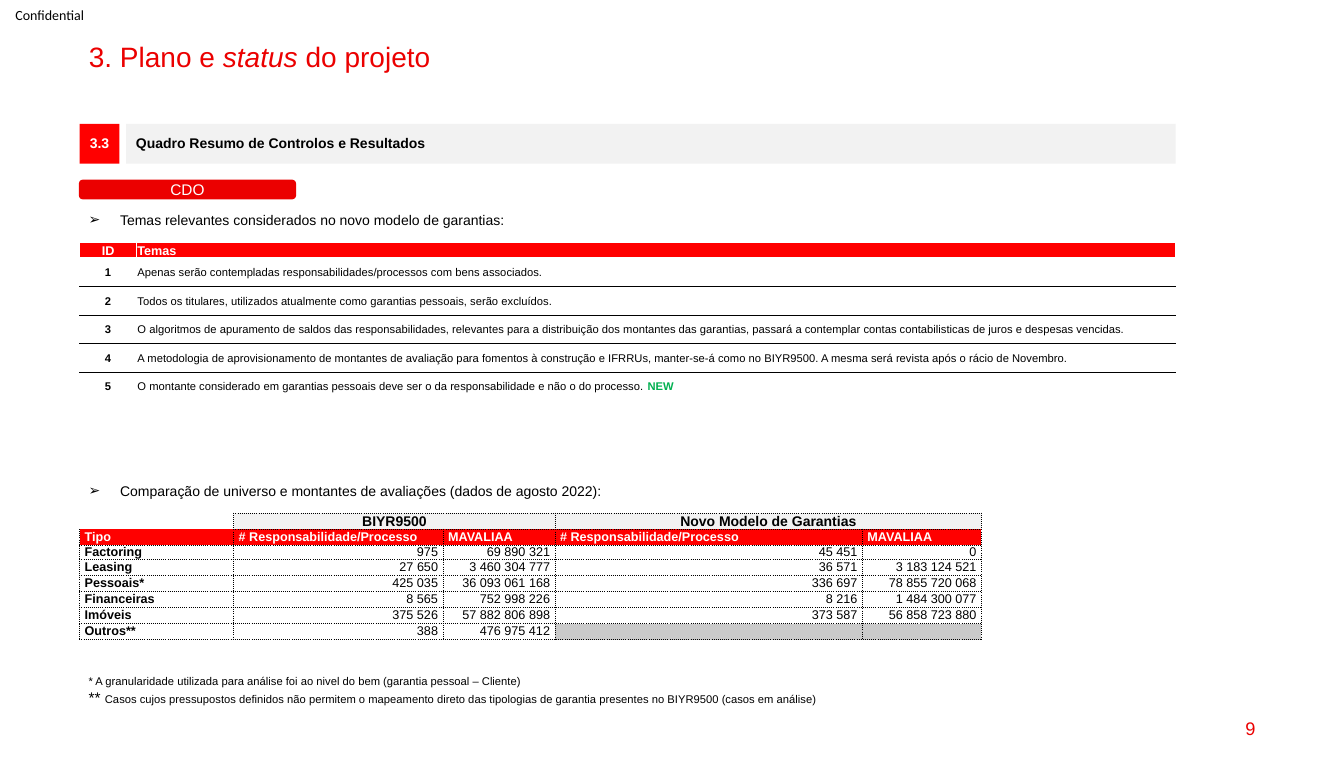
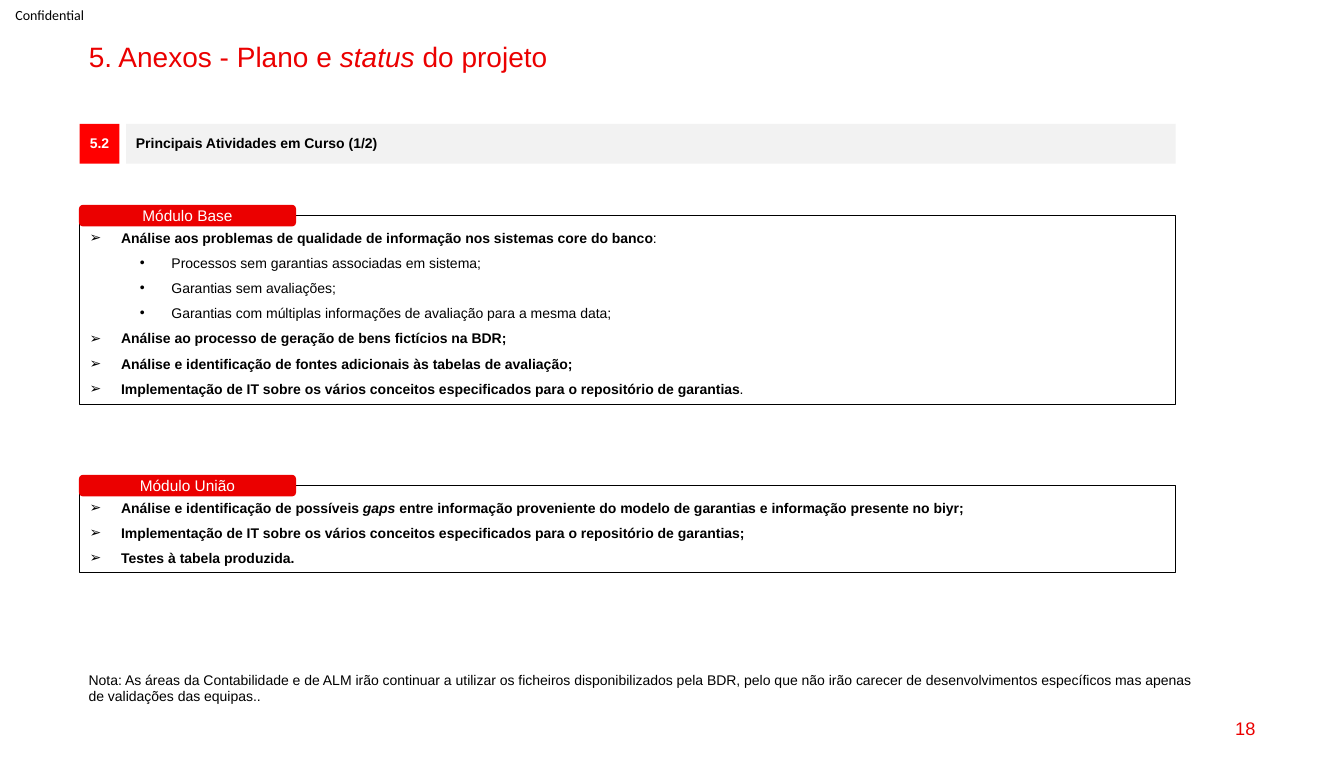
from lxml import etree
from pptx import Presentation
from pptx.dml.color import RGBColor
from pptx.enum.shapes import MSO_SHAPE
from pptx.enum.text import MSO_ANCHOR, MSO_AUTO_SIZE, PP_ALIGN
from pptx.oxml.ns import qn
from pptx.util import Pt

LEFT, CENTER, RIGHT = PP_ALIGN.LEFT, PP_ALIGN.CENTER, PP_ALIGN.RIGHT
TOP, MIDDLE, BOTTOM = MSO_ANCHOR.TOP, MSO_ANCHOR.MIDDLE, MSO_ANCHOR.BOTTOM
RECTANGLE, ROUNDED = MSO_SHAPE.RECTANGLE, MSO_SHAPE.ROUNDED_RECTANGLE
TITLE, TEXT = "title", "text"
BLACK, WHITE, RED, BRIGHT_RED = "000000", "FFFFFF", "EB0000", "FF0000"
LIGHT_GREY, GREY, GREEN = "F2F2F2", "CACACA", "00B050"
MARGIN, CONTENT_WIDTH, TEXT_LEFT = 56.9, 782.6, 56.2
PILL_WIDTH = 154
BULLETS = ["➢", "•"]
ITALIC = {"italic": True}
REGULAR = {"bold": False}

rgb = RGBColor.from_string


def write(frame, paragraphs, size=10, color=BLACK, bold=False, font="Arial",
          align=LEFT, spacing=None, levels=None):
    for index, runs in enumerate(paragraphs):
        paragraph = frame.paragraphs[0] if index == 0 else frame.add_paragraph()
        paragraph.alignment = align
        if spacing:
            paragraph.line_spacing = spacing
        if levels:
            level = levels[index]
            paragraph.level = level
            properties = paragraph._p.get_or_add_pPr()
            properties.set("marL", str(Pt(22.5 + 36 * level)))
            properties.set("indent", str(Pt(-22.5)))
            etree.SubElement(properties, qn("a:buFont")).set("typeface", "Arial")
            etree.SubElement(properties, qn("a:buChar")).set("char", BULLETS[level])
        for item in [runs] if isinstance(runs, str) else runs:
            text, changes = (item, {}) if isinstance(item, str) else item
            run = paragraph.add_run()
            run.text = text
            run.font.name = font
            run.font.size = Pt(changes.get("size", size))
            run.font.bold = changes.get("bold", bold)
            run.font.italic = changes.get("italic", False)
            run.font.color.rgb = rgb(changes.get("color", color))


def style_cell(cell, edges, fill, inset, anchor=MIDDLE):
    cell.margin_left, cell.margin_top, cell.margin_right, cell.margin_bottom = map(Pt, inset)
    cell.vertical_anchor = anchor
    properties = cell._tc.get_or_add_tcPr()
    for side, edge in zip("LRTB", edges):
        line = etree.SubElement(properties, qn("a:ln" + side))
        if edge is None:
            etree.SubElement(line, qn("a:noFill"))
            continue
        color, width, dash = edge
        line.set("w", str(Pt(width)))
        solid = etree.SubElement(line, qn("a:solidFill"))
        etree.SubElement(solid, qn("a:srgbClr")).set("val", color)
        etree.SubElement(line, qn("a:prstDash")).set("val", dash)
    if fill:
        cell.fill.solid()
        cell.fill.fore_color.rgb = rgb(fill)
    else:
        cell.fill.background()


themes = [
    ["Apenas serão contempladas responsabilidades/processos com bens associados."],
    ["Todos os titulares, utilizados atualmente como garantias pessoais, serão excluídos."],
    ["O algoritmos de apuramento de saldos das responsabilidades, relevantes para a distribuição dos "
     "montantes das garantias, passará a contemplar contas contabilisticas de juros e despesas vencidas."],
    ["A metodologia de aprovisionamento de montantes de avaliação para fomentos à construção e IFRRUs, "
     "manter-se-á como no BIYR9500. A mesma será revista após o rácio de Novembro."],
    ["O montante considerado em garantias pessoais deve ser o da responsabilidade e não o do processo. ",
     ("NEW", {"color": GREEN, "bold": True})],
]

comparison = [
    ["", "BIYR9500", "", "Novo Modelo de Garantias", ""],
    ["Tipo", "# Responsabilidade/Processo", "MAVALIAA", "# Responsabilidade/Processo", "MAVALIAA"],
    ["Factoring", "975", "69 890 321", "45 451", "0"],
    ["Leasing", "27 650", "3 460 304 777", "36 571", "3 183 124 521"],
    ["Pessoais*", "425 035", "36 093 061 168", "336 697", "78 855 720 068"],
    ["Financeiras", "8 565", "752 998 226", "8 216", "1 484 300 077"],
    ["Imóveis", "375 526", "57 882 806 898", "373 587", "56 858 723 880"],
    ["Outros**", "388", "476 975 412", "", ""],
]

base_activities = [
    ["Análise aos problemas de qualidade de informação nos sistemas core do banco", (":", REGULAR)],
    [("Processos sem garantias associadas em sistema;", REGULAR)],
    [("Garantias sem avaliações;", REGULAR)],
    [("Garantias com múltiplas informações de avaliação para a mesma data;", REGULAR)],
    "Análise ao processo de geração de bens fictícios na BDR;",
    "Análise e identificação de fontes adicionais às tabelas de avaliação;",
    ["Implementação de IT sobre os vários conceitos especificados para o repositório de garantias",
     (".", REGULAR)],
]

union_activities = [
    ["Análise e identificação de possíveis ", ("gaps", ITALIC),
     " entre informação proveniente do modelo de garantias e informação presente no biyr;"],
    "Implementação de IT sobre os vários conceitos especificados para o repositório de garantias;",
    "Testes à tabela produzida.",
]

footnotes = [
    "* A granularidade utilizada para análise foi ao nivel do bem (garantia pessoal – Cliente)",
    [("** ", {"size": 11}),
     "Casos cujos pressupostos definidos não permitem o mapeamento direto das tipologias de garantia "
     "presentes no BIYR9500 (casos em análise)"],
]

note = [
    "Nota: As áreas da Contabilidade e de ALM irão continuar a utilizar os ficheiros disponibilizados "
    "pela BDR, pelo que não irão carecer de desenvolvimentos específicos mas apenas",
    "de validações das equipas..",
]

pill_style = {"size": 11, "color": WHITE, "align": CENTER}
box_style = {"bold": True, "spacing": 1.5}
bullet_style = {"levels": [0]}

pages = [
    ("3. Plano e ", "9", "3.3", "Quadro Resumo de Controlos e Resultados", [
        (ROUNDED, (MARGIN, 128.9, PILL_WIDTH, 13), RED, (RED, 1), MIDDLE, ["CDO"], pill_style),
        (TEXT, (TEXT_LEFT, 147.6, 670, 19.4), None, None, TOP,
         ["Temas relevantes considerados no novo modelo de garantias:"], bullet_style),
        (TEXT, (TEXT_LEFT, 341.3, 670, 19.4), None, None, TOP,
         ["Comparação de universo e montantes de avaliações (dados de agosto 2022):"], bullet_style),
        (TEXT, (TEXT_LEFT, 478.1, 545, 30.2), None, None, MIDDLE, footnotes, {"size": 8}),
    ]),
    ("5. Anexos - Plano e ", "18", "5.2", "Principais Atividades em Curso (1/2)", [
        (RECTANGLE, (MARGIN, 154.1, CONTENT_WIDTH, 134.6), None, (BLACK, 0.5), TOP, base_activities,
         {**box_style, "levels": [0, 1, 1, 1, 0, 0, 0]}),
        (ROUNDED, (MARGIN, 146.9, PILL_WIDTH, 14.4), RED, (RED, 1), MIDDLE, ["Módulo Base"], pill_style),
        (RECTANGLE, (MARGIN, 347, CONTENT_WIDTH, 61.9), None, (BLACK, 0.5), TOP, union_activities,
         {**box_style, "levels": [0, 0, 0]}),
        (ROUNDED, (MARGIN, 339.8, PILL_WIDTH, 14.4), RED, (RED, 1), MIDDLE, ["Módulo União"], pill_style),
        (TEXT, (TEXT_LEFT, 475.9, 811.4, 31.7), None, None, TOP, note, {}),
    ]),
]

presentation = Presentation()
presentation.slide_width, presentation.slide_height = Pt(959.76), Pt(558.72)

for heading, number, section, section_title, content in pages:
    slide = presentation.slides.add_slide(presentation.slide_layouts[5])
    shared = [
        (TITLE, (TEXT_LEFT, 27.4, 847.4, 24.5), None, None, TOP,
         [[heading, ("status", ITALIC), " do projeto"]], {"size": 20, "color": RED, "spacing": 0.9}),
        (TEXT, (0, 0, 71.3, 20.9), None, None, MIDDLE, ["Confidential"], {"font": "Calibri"}),
        (TEXT, (687.6, 505.4, 216, 29.5), None, None, MIDDLE, [number],
         {"size": 13, "color": RED, "align": RIGHT}),
        (RECTANGLE, (MARGIN, 88.6, 28.4, 28.4), BRIGHT_RED, None, MIDDLE, [section],
         {"color": WHITE, "bold": True, "align": CENTER, "spacing": 0.9}),
        (RECTANGLE, (90, 88.6, 749.5, 28.4), LIGHT_GREY, None, MIDDLE, [section_title],
         {"bold": True, "spacing": 0.9}),
    ]
    for kind, place, fill, outline, anchor, paragraphs, text_format in shared + content:
        left, top, width, height = map(Pt, place)
        if kind == TITLE:
            shape = slide.shapes.title
            shape.left, shape.top, shape.width, shape.height = left, top, width, height
        elif kind == TEXT:
            shape = slide.shapes.add_textbox(left, top, width, height)
        else:
            shape = slide.shapes.add_shape(kind, left, top, width, height)
            shape.shadow.inherit = False
            if fill:
                shape.fill.solid()
                shape.fill.fore_color.rgb = rgb(fill)
            else:
                shape.fill.background()
            if outline:
                shape.line.color.rgb = rgb(outline[0])
                shape.line.width = Pt(outline[1])
            else:
                shape.line.fill.background()
        frame = shape.text_frame
        frame.word_wrap = True
        frame.auto_size = MSO_AUTO_SIZE.NONE
        frame.vertical_anchor = anchor
        side = 11 if place[0] == 0 else 3 if section in paragraphs else 7.2
        frame.margin_left = frame.margin_right = Pt(side)
        frame.margin_top = frame.margin_bottom = Pt(0 if kind == ROUNDED else 3.6)
        write(frame, paragraphs, **text_format)

tables = []
for top, row_heights, column_widths in [
    (173.5, [10.1] + [20.4] * 5, [40.6, 742]),
    (366.5, [11.5, 11.5, 9.4] + [11.5] * 5, [110, 149.5, 80, 219.5, 85]),
]:
    table = presentation.slides[0].shapes.add_table(
        len(row_heights), len(column_widths), Pt(MARGIN), Pt(top),
        Pt(sum(column_widths)), Pt(sum(row_heights))).table
    table.first_row = table.horz_banding = False
    for row, height in zip(table.rows, row_heights):
        row.height = Pt(height)
    for column, width in zip(table.columns, column_widths):
        column.width = Pt(width)
    tables.append(table)
themes_table, comparison_table = tables

white_edge, black_edge = (WHITE, 1, "solid"), (BLACK, 0.5, "solid")
for row in range(len(themes) + 1):
    header = row == 0
    above = black_edge if row > 1 else white_edge
    below = black_edge if 0 < row < len(themes) else white_edge
    texts = ["ID", "Temas"] if header else [str(row), themes[row - 1]]
    for column, text in enumerate(texts):
        cell = themes_table.cell(row, column)
        style_cell(cell, (white_edge, white_edge, above, below),
                   BRIGHT_RED if header else None, (0.7, 0.7, 0.7, 0))
        write(cell.text_frame, [text], size=9 if header else 8, color=WHITE if header else BLACK,
              bold=header or column == 0, align=LEFT if column else CENTER)

dotted = (BLACK, 0.5, "sysDot")
for row, texts in enumerate(comparison):
    for column, text in enumerate(texts):
        cell = comparison_table.cell(row, column)
        corner = row == 0 and column == 0
        edges = [None, dotted, None, None] if corner else [dotted] * 4
        if row == 1 and column == 0:
            edges[2] = None
        if row < 2:
            fill = None if corner else (LIGHT_GREY, BRIGHT_RED)[row]
        else:
            fill = None if text else GREY
        style_cell(cell, edges, fill, (3.6, 0, 3.6, 0), MIDDLE if row else BOTTOM)
        if text:
            align = CENTER if row == 0 else LEFT if row == 1 or column == 0 else RIGHT
            write(cell.text_frame, [text], size=9 if row else 10, color=WHITE if row == 1 else BLACK,
                  bold=row < 2 or column == 0, align=align)
        else:
            cell.text_frame.paragraphs[0]._p.get_or_add_endParaRPr().set("sz", "900")
for column in (1, 3):
    comparison_table.cell(0, column).merge(comparison_table.cell(0, column + 1))

presentation.save("out.pptx")
